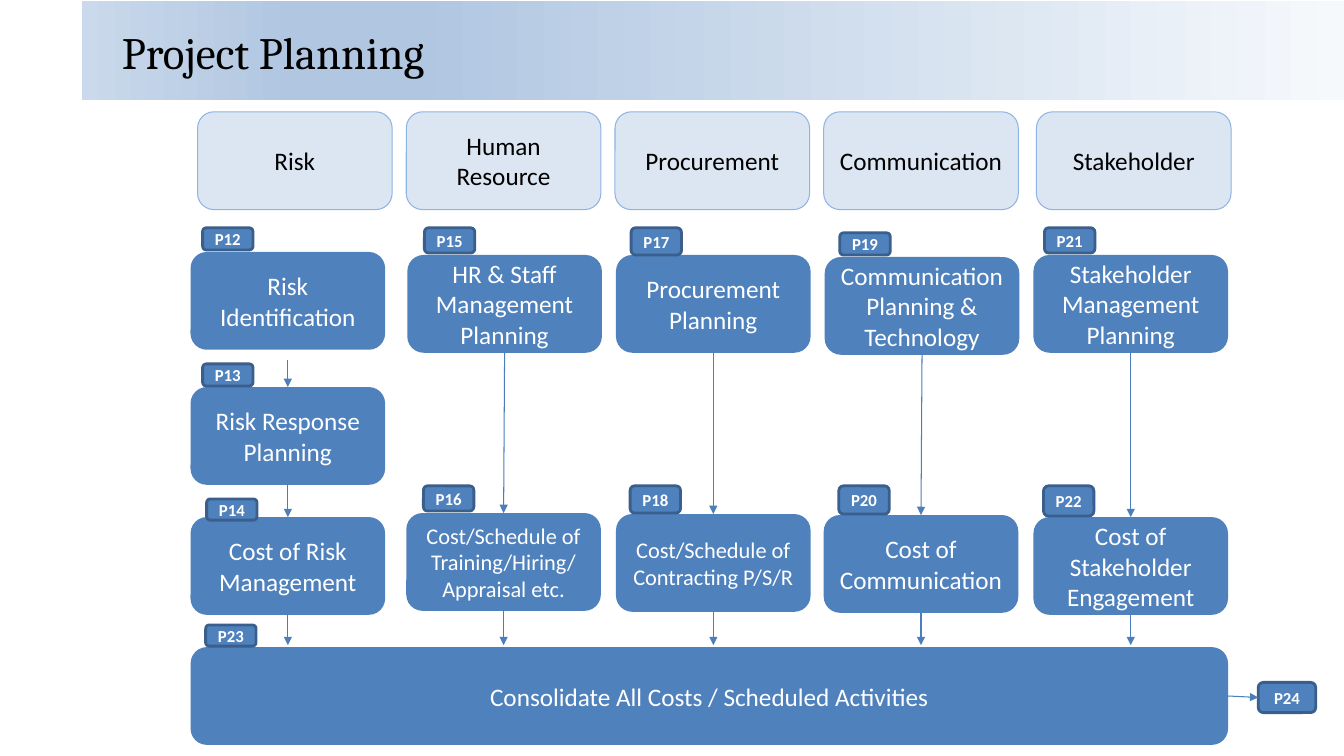
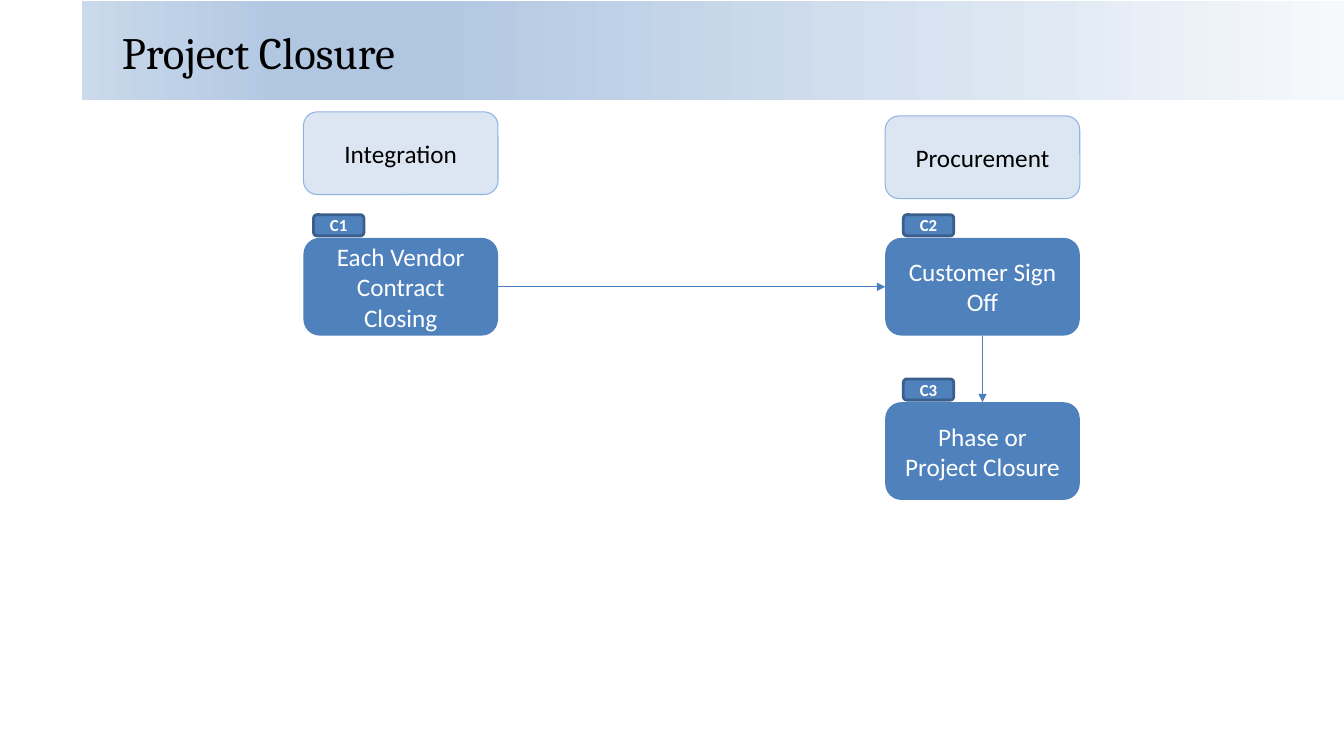
"""Build the project planning and project closure process slides."""
import dataclasses
import typing

import lxml.etree
import pptx
import pptx.dml.color
import pptx.enum.shapes
import pptx.enum.text
import pptx.oxml.ns
import pptx.presentation
import pptx.shapes.autoshape
import pptx.slide
import pptx.util

PX = 9144
STEP_WIDTH, STEP_HEIGHT, BADGE_WIDTH = 193, 97, 50
TOP, LEFT, BOTTOM, RIGHT = range(4)
ROUNDED = pptx.enum.shapes.MSO_SHAPE.ROUNDED_RECTANGLE


@dataclasses.dataclass(frozen=True)
class Style:
    fill: str
    ink: str
    size: int
    border: str = ""
    border_width: float = 0
    bold: bool = False
    margin: int = 10


@dataclasses.dataclass(frozen=True)
class Theme:
    heading: Style = Style("DCE6F2", "000000", 18, "8EB4E3", 0.75)
    step: Style = Style("4F81BD", "FFFFFF", 18)
    small_step: Style = Style("4F81BD", "FFFFFF", 16)
    badge: Style = Style("4F81BD", "FFFFFF", 12, "3A5F8C", 2, True, 0)
    arrow: str = "4B7EBC"
    arrow_width: float = 0.75
    title_ink: str = "000000"
    title_size: int = 32
    title_font: str = "Cambria"
    body_font: str = "Calibri"
    band: tuple[tuple[int, str], ...] = (
        (0, "F6F9FC"), (74, "B0C6E1"), (83, "B0C6E1"), (100, "CAD9EB"))


THEME = Theme()


class Area(typing.NamedTuple):
    left: int
    top: int
    width: int
    height: int

    def emu(self) -> list[int]:
        return [value * PX for value in self]


class Badge(typing.NamedTuple):
    label: str
    left: int
    top: int
    height: int
    width: int = BADGE_WIDTH


class Step(typing.NamedTuple):
    text: str
    left: int
    top: int
    badge: Badge
    style: Style = THEME.step
    width: int = STEP_WIDTH


class Heading(typing.NamedTuple):
    text: str
    left: int
    top: int = 111
    height: int = STEP_HEIGHT


class Joint(typing.NamedTuple):
    x: int
    y: int
    shape: pptx.shapes.autoshape.Shape | None = None
    site: int = TOP


class Column(typing.NamedTuple):
    heading: Heading
    steps: tuple[Step, ...]


TITLE_AREA = Area(111, 6, 1178, 91)
BAND_AREA = Area(81, 1, 1253, 98)
ARROW_END = 640
RISK_ARROW_START = 357

PLANNING = (
    Column(Heading("Risk", 196), (
        Step("Risk Identification", 189, 250, Badge("P12", 201, 226, 22)),
        Step("Risk Response Planning", 189, 384, Badge("P13", 201, 361, 22)),
        Step("Cost of Risk Management", 189, 513, Badge("P14", 205, 495, 21)))),
    Column(Heading("Human Resource", 403), (
        Step("HR & Staff Management Planning", 404, 253, Badge("P15", 421, 226, 25)),
        Step("Cost/Schedule of Training/Hiring/ Appraisal etc.", 403, 509,
             Badge("P16", 420, 482, 25), THEME.small_step))),
    Column(Heading("Procurement", 610), (
        Step("Procurement Planning", 611, 253, Badge("P17", 626, 226, 27)),
        Step("Cost/Schedule of Contracting P/S/R", 611, 510,
             Badge("P18", 625, 482, 27), THEME.small_step))),
    Column(Heading("Communication", 817), (
        Step("Communication Planning & Technology", 818, 255, Badge("P19", 833, 231, 22)),
        Step("Cost of Communication", 817, 511, Badge("P20", 832, 482, 28)))),
    Column(Heading("Stakeholder", 1028), (
        Step("Stakeholder Management Planning", 1025, 253, Badge("P21", 1036, 226, 25)),
        Step("Cost of Stakeholder Engagement", 1025, 513, Badge("P22", 1035, 482, 30)))),
)
CONSOLIDATION = Step("Consolidate All Costs / Scheduled Activities", 189, 642,
                     Badge("P23", 204, 620, 21), width=1029)
NEXT_PHASE = Badge("P24", 1248, 677, 30, 57)

CLOSURE = (
    Column(Heading("Integration", 301, 111, 82), (
        Step("Each Vendor Contract Closing", 301, 236, Badge("C1", 311, 213, 21)),)),
    Column(Heading("Procurement", 878, 115, 82), (
        Step("Customer Sign Off", 878, 236, Badge("C2", 896, 213, 21)),
        Step("Phase or Project Closure", 878, 399, Badge("C3", 896, 376, 21)))),
)


def rgb(value: str) -> pptx.dml.color.RGBColor:
    return pptx.dml.color.RGBColor.from_string(value)


def apply_format(target: object, values: dict[str, object]) -> None:
    for name, value in values.items():
        setattr(target, name, value)


def add_box(slide: pptx.slide.Slide, text: str, area: Area,
            style: Style) -> pptx.shapes.autoshape.Shape:
    box = slide.shapes.add_shape(ROUNDED, *area.emu())
    box.shadow.inherit = False
    box.fill.solid()
    box.fill.fore_color.rgb = rgb(style.fill)
    if style.border:
        box.line.color.rgb = rgb(style.border)
        box.line.width = pptx.util.Pt(style.border_width)
    else:
        box.line.fill.background()
    frame = box.text_frame
    apply_format(frame, {
        "text": text, "word_wrap": True,
        "vertical_anchor": pptx.enum.text.MSO_ANCHOR.MIDDLE,
        "margin_left": style.margin * PX, "margin_right": style.margin * PX,
        "margin_top": style.margin * PX // 2, "margin_bottom": style.margin * PX // 2})
    paragraph = frame.paragraphs[0]
    paragraph.alignment = pptx.enum.text.PP_ALIGN.CENTER
    font = paragraph.runs[0].font
    apply_format(font, {"name": THEME.body_font, "bold": style.bold,
                        "size": pptx.util.Pt(style.size)})
    font.color.rgb = rgb(style.ink)
    return box


def add_badge(slide: pptx.slide.Slide, badge: Badge) -> pptx.shapes.autoshape.Shape:
    area = Area(badge.left, badge.top, badge.width, badge.height)
    return add_box(slide, badge.label, area, THEME.badge)


def add_step(slide: pptx.slide.Slide, step: Step) -> pptx.shapes.autoshape.Shape:
    area = Area(step.left, step.top, step.width, STEP_HEIGHT)
    box = add_box(slide, step.text, area, step.style)
    add_badge(slide, step.badge)
    return box


def side(box: pptx.shapes.autoshape.Shape, site: int) -> Joint:
    across = {LEFT: 0, RIGHT: box.width}.get(site, box.width // 2)
    down = {TOP: 0, BOTTOM: box.height}.get(site, box.height // 2)
    return Joint(box.left + across, box.top + down, box, site)


def add_arrow(slide: pptx.slide.Slide, start: Joint, end: Joint) -> None:
    arrow = slide.shapes.add_connector(
        pptx.enum.shapes.MSO_CONNECTOR.STRAIGHT, start.x, start.y, end.x, end.y)
    if start.shape is not None:
        arrow.begin_connect(start.shape, start.site)
    if end.shape is not None:
        arrow.end_connect(end.shape, end.site)
    arrow.line.color.rgb = rgb(THEME.arrow)
    arrow.line.width = pptx.util.Pt(THEME.arrow_width)
    qn = pptx.oxml.ns.qn
    properties = arrow.element.find(qn("p:spPr"))
    lxml.etree.SubElement(properties.find(qn("a:ln")), qn("a:tailEnd"), type="triangle")
    lxml.etree.SubElement(properties, qn("a:effectLst"))


def add_column(slide: pptx.slide.Slide,
               column: Column) -> list[pptx.shapes.autoshape.Shape]:
    heading = column.heading
    add_box(slide, heading.text,
            Area(heading.left, heading.top, STEP_WIDTH, heading.height), THEME.heading)
    return [add_step(slide, step) for step in column.steps]


def add_titled_slide(deck: pptx.presentation.Presentation,
                     layout: pptx.slide.SlideLayout, text: str) -> pptx.slide.Slide:
    slide = deck.slides.add_slide(layout)
    title = slide.shapes.title
    title.text_frame.text = text
    paragraph = title.text_frame.paragraphs[0]
    paragraph.alignment = pptx.enum.text.PP_ALIGN.LEFT
    font = paragraph.runs[0].font
    apply_format(font, {"name": THEME.title_font,
                        "size": pptx.util.Pt(THEME.title_size)})
    font.color.rgb = rgb(THEME.title_ink)
    return slide


def move_band_to_layout(slide: pptx.slide.Slide, layout: pptx.slide.SlideLayout) -> None:
    band = slide.shapes.add_shape(pptx.enum.shapes.MSO_SHAPE.RECTANGLE, *BAND_AREA.emu())
    band.shadow.inherit = False
    band.line.fill.background()
    band.fill.gradient()
    band.fill.gradient_angle = 180
    qn = pptx.oxml.ns.qn
    stops = band.element.find(".//" + qn("a:gsLst"))
    for stop in list(stops):
        stops.remove(stop)
    for position, colour in THEME.band:
        stop = lxml.etree.SubElement(stops, qn("a:gs"), pos=str(position * 1000))
        lxml.etree.SubElement(stop, qn("a:srgbClr"), val=colour)
    band.element.find(".//" + qn("p:cNvPr")).set("id", "100")
    title = layout.placeholders[0]
    apply_format(title, dict(zip(("left", "top", "width", "height"), TITLE_AREA.emu())))
    title.element.addprevious(band.element)


def fill_planning(slide: pptx.slide.Slide) -> None:
    for index, column in enumerate(PLANNING):
        boxes = add_column(slide, column)
        for pair, (upper, lower) in enumerate(zip(boxes, boxes[1:])):
            start, end = side(upper, BOTTOM), side(lower, TOP)
            if index == pair == 0:
                start = Joint(start.x, RISK_ARROW_START * PX)
            add_arrow(slide, start, end)
        last = side(boxes[-1], BOTTOM)
        add_arrow(slide, last, Joint(last.x, ARROW_END * PX))
    consolidation = add_step(slide, CONSOLIDATION)
    next_phase = add_badge(slide, NEXT_PHASE)
    add_arrow(slide, side(consolidation, RIGHT), side(next_phase, LEFT))


def fill_closure(slide: pptx.slide.Slide) -> None:
    (vendor,), (sign_off, closure) = [add_column(slide, column) for column in CLOSURE]
    add_arrow(slide, side(vendor, RIGHT), side(sign_off, LEFT))
    add_arrow(slide, side(sign_off, BOTTOM), side(closure, TOP))


def main() -> None:
    deck = pptx.Presentation()
    apply_format(deck, {"slide_width": 1333 * PX, "slide_height": 750 * PX})
    layout = deck.slide_layouts[5]
    planning = add_titled_slide(deck, layout, "Project Planning")
    move_band_to_layout(planning, layout)
    fill_planning(planning)
    fill_closure(add_titled_slide(deck, layout, "Project Closure"))
    deck.save("out.pptx")


if __name__ == "__main__":
    main()
